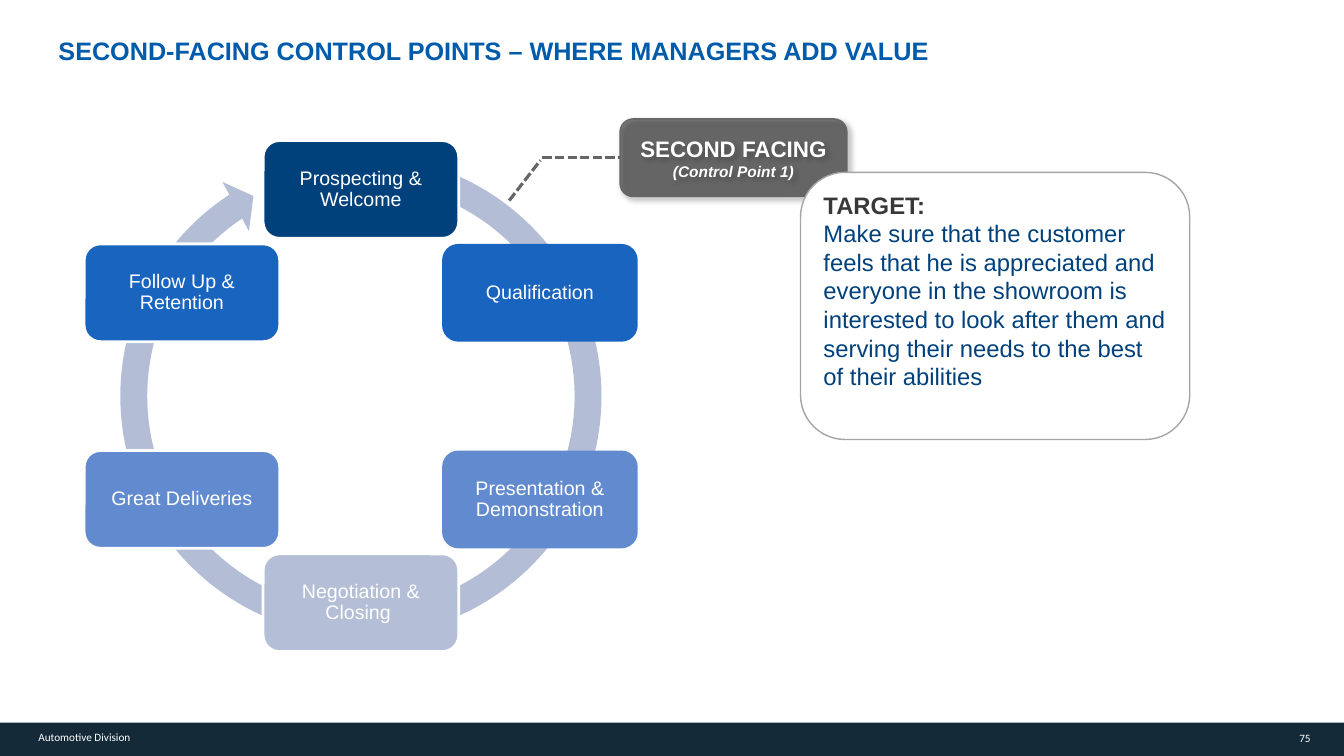
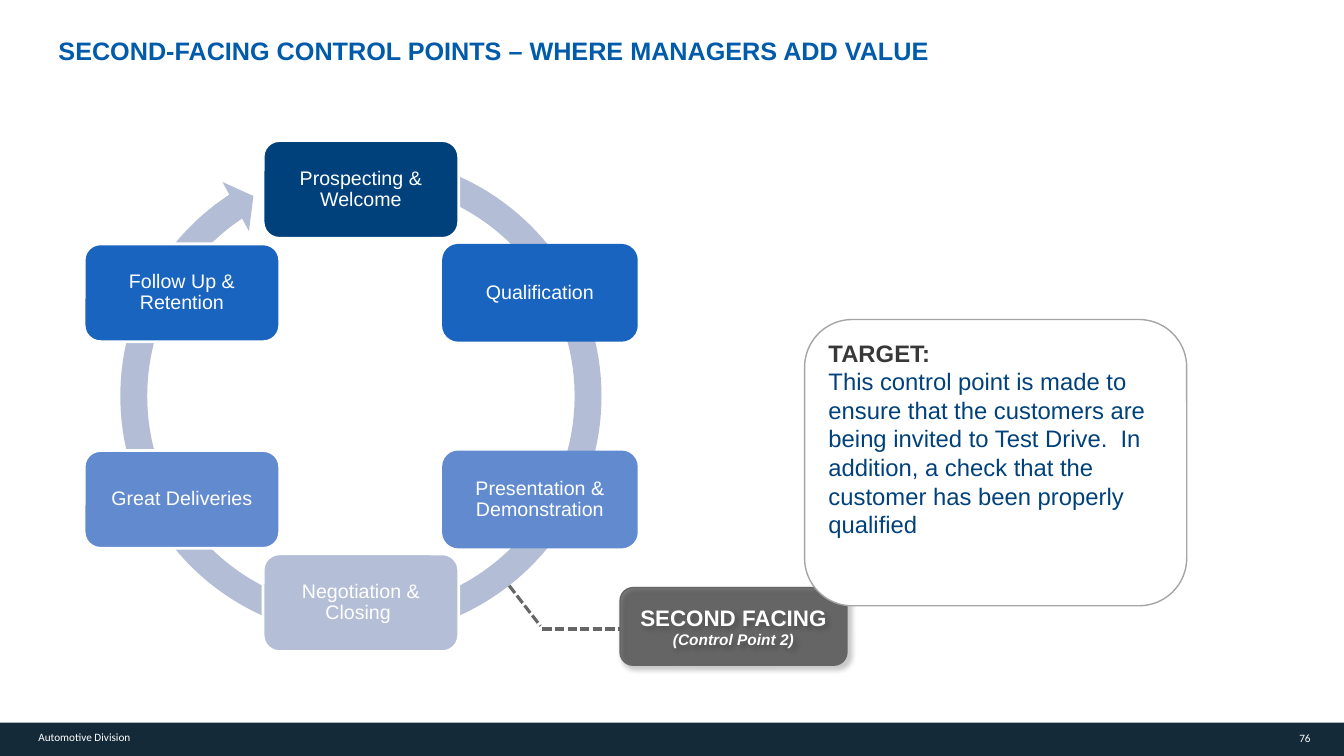
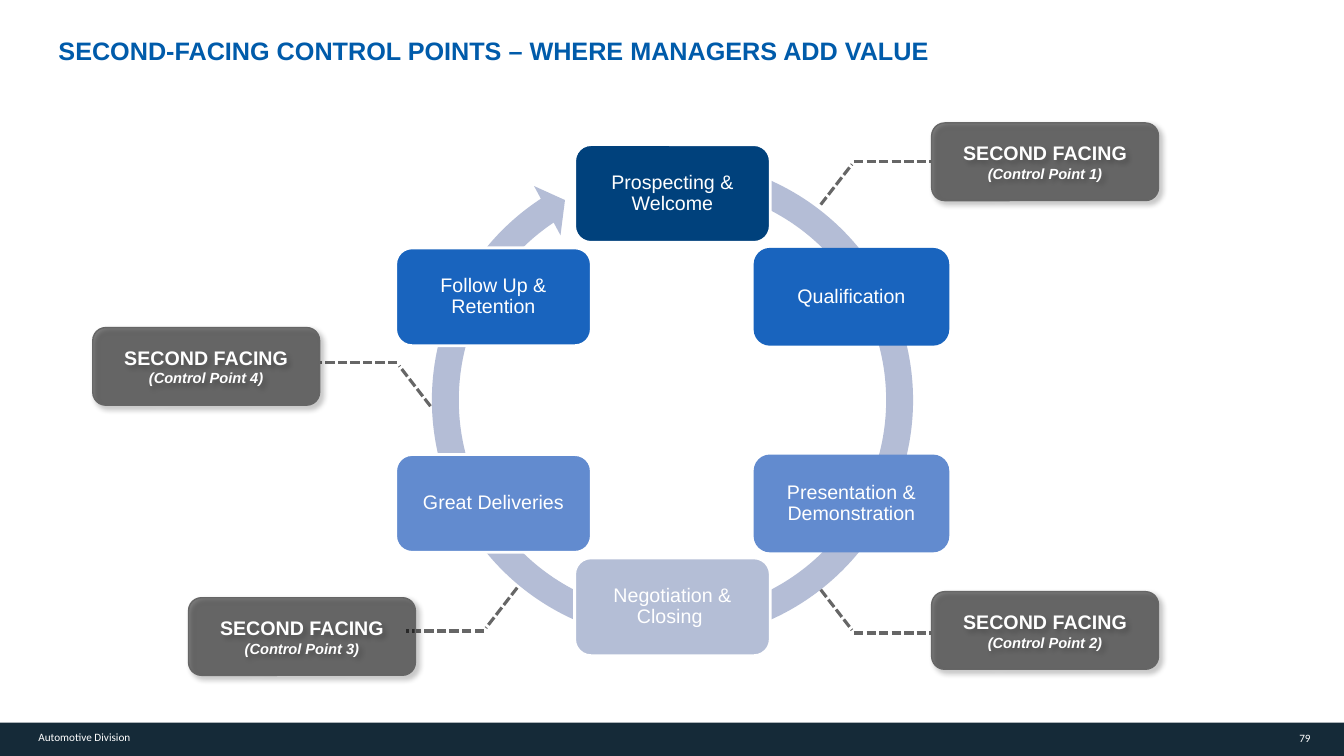
"""Build three slides on the control points of a sales cycle."""
import math

from lxml import etree
from pptx import Presentation, util as u
from pptx.dml.color import RGBColor
from pptx.enum import dml, shapes, text
from pptx.oxml import parse_xml
from pptx.oxml.ns import nsdecls, qn

WIDTH, HEIGHT = 13.33, 7.5
WHITE = RGBColor(0xFF, 0xFF, 0xFF)
BLACK = RGBColor(0x00, 0x00, 0x00)
BAND = RGBColor(0x15, 0x2A, 0x38)
TITLE_BLUE = RGBColor(0x00, 0x5B, 0xAA)
NAVY = RGBColor(0x00, 0x41, 0x7C)
BLUE = RGBColor(0x19, 0x64, 0xBE)
SKY = RGBColor(0x62, 0x8B, 0xCF)
PALE = RGBColor(0xB4, 0xBE, 0xD6)
RING = RGBColor(0xB4, 0xBD, 0xD6)
GREY = RGBColor(0x66, 0x66, 0x66)
OUTLINE = RGBColor(0xA5, 0xA5, 0xA5)
CHARCOAL = RGBColor(0x38, 0x38, 0x38)

TITLE = "SECOND-FACING CONTROL POINTS – WHERE MANAGERS ADD VALUE"
STEPS = [
    ("Prospecting & Welcome", NAVY, True),
    ("Qualification", BLUE, False),
    ("Presentation & Demonstration", SKY, False),
    ("Negotiation & Closing ", PALE, True),
    ("Great Deliveries", SKY, True),
    ("Follow Up & Retention", BLUE, True),
]
RING_SIZE, ORBIT = 5.06, 2.05
STEP_SIZE = (1.94, 0.97)
RING_ADJUSTMENTS = (0.05274, 3.1263, 141.932, 171.475, 0.05477)
BADGE_SIZE = (2.25, 0.77)

# Offsets from the ring's centre: badge corner, link tip, link direction.
CONTROL_POINTS = {
    1: ((2.57, -2.75), (1.47, -1.94), (1, -1)),
    2: ((2.57, 1.9), (1.47, 1.88), (1, 1)),
    3: ((-4.8, 1.96), (-1.54, 1.86), (-1, 1)),
    4: ((-5.75, -0.72), (-2.4, 0.06), (-1, -1)),
}
LEFT_CENTRE, MIDDLE_CENTRE = (3.58, 3.93), (6.67, 3.97)

TARGETS = [
    (75, 1, (7.94, 1.71, 3.86, 2.65),
     "Make sure that the customer feels that he is appreciated and everyone in the showroom "
     "is interested to look after them and serving their needs to the best of their abilities"),
    (76, 2, (7.98, 3.17, 3.79, 2.84),
     "This control point is made to ensure that the customers are being invited to Test Drive.  "
     "In addition, a check that the customer has been properly qualified"),
]


def style(font, size, color, bold=False, name="Arial"):
    """Set the look of a font."""
    font.name, font.size, font.bold = name, u.Pt(size), bold
    font.color.rgb = color


def add_box(page, kind, at, fill, line=None, weight=1):
    """Add a filled preset shape without a shadow."""
    box = page.shapes.add_shape(kind, *map(u.Inches, at))
    box.fill.solid()
    box.fill.fore_color.rgb = fill
    if line is None:
        box.line.fill.background()
    else:
        box.line.color.rgb = line
        box.line.width = u.Pt(weight)
    box.shadow.inherit = False
    return box


def add_label(page, at, words, size, color, bold=False, name="Arial", align=text.PP_ALIGN.LEFT):
    """Add one line of text without margins."""
    frame = page.shapes.add_textbox(*map(u.Inches, at)).text_frame
    frame.word_wrap = True
    frame.margin_left = frame.margin_right = frame.margin_top = frame.margin_bottom = 0
    para = frame.paragraphs[0]
    para.text, para.alignment = words, align
    style(para.font, size, color, bold, name)


def add_page(deck, number):
    """Add a slide with the shared title and footer."""
    page = deck.slides.add_slide(deck.slide_layouts[6])
    add_box(page, shapes.MSO_SHAPE.RECTANGLE, (0, 7.17, WIDTH, 0.33), BAND)
    add_label(page, (12.5, 7.26, 0.5, 0.13), str(number), 8, WHITE, name="Calibri",
              align=text.PP_ALIGN.RIGHT)
    add_label(page, (0.38, 7.25, 1.5, 0.14), "Automotive Division", 8, WHITE, name="Calibri")
    add_label(page, (0.58, 0.35, 11.91, 0.3), TITLE, 18, TITLE_BLUE, bold=True)
    return page


def add_cycle(page, centre):
    """Draw the ring arrow and its six steps around a centre."""
    x, y = centre
    half = RING_SIZE / 2
    ring = add_box(page, shapes.MSO_SHAPE.CIRCULAR_ARROW,
                   (x - half, y - half, RING_SIZE, RING_SIZE), RING)
    for index, value in enumerate(RING_ADJUSTMENTS):
        ring.adjustments[index] = value
    wide, high = STEP_SIZE
    for index, (words, fill, outlined) in enumerate(STEPS):
        angle = math.tau * index / len(STEPS)
        left = x + ORBIT * math.sin(angle) - wide / 2
        top = y - ORBIT * math.cos(angle) - high / 2
        step = add_box(page, shapes.MSO_SHAPE.ROUNDED_RECTANGLE, (left, top, wide, high), fill,
                       WHITE if outlined else None, 2)
        frame = step.text_frame
        frame.margin_left = frame.margin_right = u.Inches(0.06)
        frame.margin_top = frame.margin_bottom = u.Inches(0.06)
        frame.vertical_anchor = text.MSO_ANCHOR.MIDDLE
        para = frame.paragraphs[0]
        para.text, para.alignment, para.line_spacing = words, text.PP_ALIGN.CENTER, 0.9
        style(para.font, 14, WHITE)


def add_dash(page, start, end):
    """Draw a dashed line."""
    dash = page.shapes.add_connector(shapes.MSO_CONNECTOR.STRAIGHT,
                                     *map(u.Inches, (*start, *end)))
    dash.line.color.rgb = GREY
    dash.line.width = u.Pt(2.25)
    dash.line.dash_style = dml.MSO_LINE.SQUARE_DOT
    etree.SubElement(dash._element.spPr, qn("a:effectLst"))


def add_link(page, tip, direction):
    """Draw a slanted dash from the ring and a level one to the badge."""
    (x, y), (side, rise) = tip, direction
    arm = y + 0.43 * rise
    add_dash(page, tip, (x + 0.31 * side, y + 0.4 * rise))
    add_dash(page, (x + 0.33 * side, arm), (x + 1.1 * side, arm))


def add_badge(page, corner, number, sizes):
    """Add a see-through badge that names a control point."""
    badge = add_box(page, shapes.MSO_SHAPE.ROUNDED_RECTANGLE, (*corner, *BADGE_SIZE), BLACK, GREY)
    props = badge._element.spPr
    color = props.find(qn("a:solidFill")).find(qn("a:srgbClr"))
    etree.SubElement(color, qn("a:alpha"), val="50000")
    props.find(qn("a:effectLst")).append(parse_xml(
        f'<a:outerShdw {nsdecls("a")} blurRad="{u.Pt(4)}" dist="{u.Pt(3)}" dir="2700000" '
        'algn="tl" rotWithShape="0"><a:srgbClr val="000000"><a:alpha val="40000"/>'
        '</a:srgbClr></a:outerShdw>'))
    badge.text_frame.vertical_anchor = text.MSO_ANCHOR.MIDDLE
    para = badge.text_frame.paragraphs[0]
    para.alignment = text.PP_ALIGN.CENTER
    for index, words in enumerate(("SECOND FACING", f"(Control Point {number})")):
        if index:
            para.add_line_break()
        span = para.add_run()
        span.text = words
        style(span.font, sizes[index], WHITE, bold=True)
        span.font.italic = bool(index)


def add_control_point(page, centre, number, sizes):
    """Place a linked badge by its offsets from the ring's centre."""
    x, y = centre
    badge, tip, direction = CONTROL_POINTS[number]
    add_link(page, (x + tip[0], y + tip[1]), direction)
    add_badge(page, (x + badge[0], y + badge[1]), number, sizes)


def add_target(page, at, words):
    """Add the card that states the target."""
    card = add_box(page, shapes.MSO_SHAPE.ROUNDED_RECTANGLE, at, WHITE, OUTLINE)
    frame = card.text_frame
    frame.vertical_anchor = text.MSO_ANCHOR.TOP
    frame.text = f"TARGET:\n{words}"
    for para, color, bold in zip(frame.paragraphs, (CHARCOAL, NAVY), (True, False)):
        para.alignment = text.PP_ALIGN.LEFT
        style(para.font, 17, color, bold)


def main():
    """Build and save the deck."""
    deck = Presentation()
    deck.slide_width, deck.slide_height = u.Inches(WIDTH), u.Inches(HEIGHT)
    for number, point, at, words in TARGETS:
        page = add_page(deck, number)
        add_cycle(page, LEFT_CENTRE)
        add_control_point(page, LEFT_CENTRE, point, (16, 11))
        add_target(page, at, words)
    page = add_page(deck, 79)
    add_cycle(page, MIDDLE_CENTRE)
    for point in CONTROL_POINTS:
        add_control_point(page, MIDDLE_CENTRE, point, (14, 10.5))
    deck.save("out.pptx")


if __name__ == "__main__":
    main()
